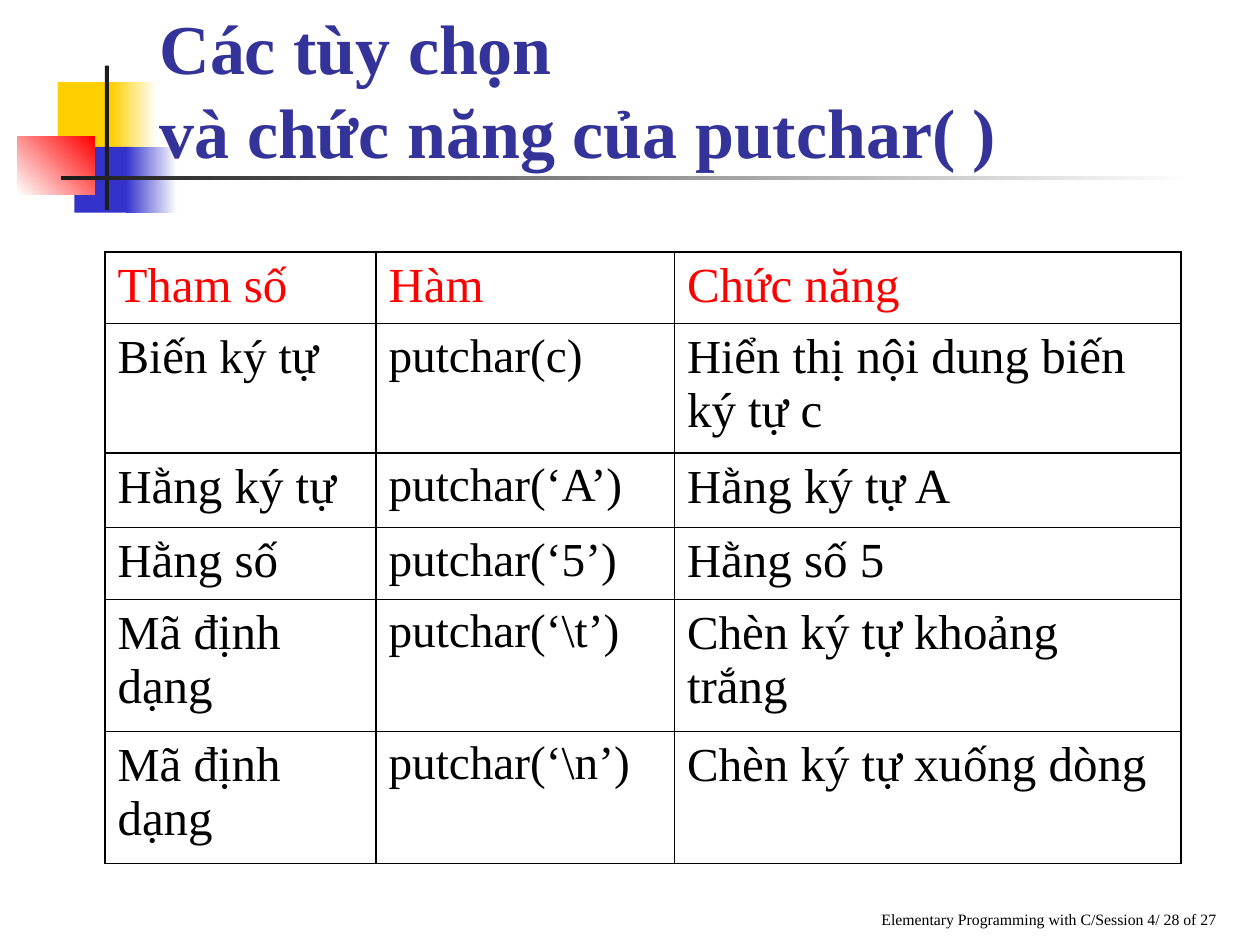
from lxml.etree import SubElement
from pptx import Presentation
from pptx.dml.color import RGBColor
from pptx.enum.shapes import MSO_SHAPE as Shape
from pptx.enum.text import MSO_ANCHOR as Anchor, MSO_AUTO_SIZE as AutoSize, PP_ALIGN as Align
from pptx.oxml.ns import qn
from pptx.util import Pt

FONT = "Times New Roman"
COLORS = {"gold": "FFCF01", "blue": "3333CC", "red": "FF0000", "dark": "1C1C1C",
          "white": "FFFFFF", "title": "333399", "black": "000000"}
TITLE = "Các tùy chọn \vvà chức năng của putchar( )"
FOOTER = "Elementary Programming with C/Session 4/ 28 of 27"

# Each bar: left, top, width, height, colours, gradient angle
BARS = [
    (33, 47, 34.5, 37.5, ["gold"], 0),
    (63.5, 47, 26, 37.5, ["gold", "white"], 0),
    (42.5, 84, 33, 37.5, ["blue"], 0),
    (72, 84, 29, 37.5, ["blue", "white"], 0),
    (10, 78, 44, 33, ["white", "red"], 45),
    (60, 37.5, 2.2, 82.5, ["dark"], 0),
    (34.8, 100.6, 648, 2.2, ["dark", "white"], 0),
]

RUN_SIZES = (27, 28)
ROWS = [
    ("|Tham số", "|Hàm", "|Chức năng"),
    ("Bi|ế|n ký t|ự", "putchar(c)", "Hi|ển thị nội dung biến ký tự c"),
    ("H|ằng ký tự", "putchar(‘A’)", "H|ằng ký tự A"),
    ("H|ằng số", "putchar(‘5’)", "H|ằng số 5"),
    ("M|ã định dạng| ", r"putchar(‘\t’)", "Ch|èn ký tự khoảng trắng"),
    ("M|ã định dạng", r"putchar(‘\n’)", "Ch|èn ký tự xuống dòng"),
]
COLUMN_WIDTHS = [154.8, 170.6, 289.4]
ROW_HEIGHTS = [41, 74, 42.5, 41, 75.5, 75.5]
TABLE_LEFT, TABLE_TOP = 60, 144


def rgb(name):
    return RGBColor.from_string(COLORS[name])


def format_run(run, size, color, bold=False):
    run.font.name, run.font.size, run.font.bold = FONT, Pt(size), bold
    run.font.color.rgb = rgb(color)


def add_bar(slide, left, top, width, height, colors, angle):
    shape = slide.shapes.add_shape(Shape.RECTANGLE, Pt(left), Pt(top), Pt(width), Pt(height))
    shape.shadow.inherit = False
    shape.line.fill.background()
    if len(colors) == 1:
        shape.fill.solid()
        shape.fill.fore_color.rgb = rgb(colors[0])
    else:
        shape.fill.gradient()
        shape.fill.gradient_angle = angle
        for stop, color in zip(shape.fill.gradient_stops, colors):
            stop.color.rgb = rgb(color)


def format_title(title):
    title.left, title.top, title.width, title.height = Pt(84), Pt(6), Pt(570), Pt(96)
    frame = title.text_frame
    frame.text = TITLE
    frame.auto_size, frame.word_wrap = AutoSize.NONE, True
    frame.vertical_anchor = Anchor.BOTTOM
    paragraph = frame.paragraphs[0]
    paragraph.alignment = Align.LEFT
    for run in paragraph.runs:
        format_run(run, 40, "title", True)
    title.element.getparent().append(title.element)


def add_footer(slide):
    frame = slide.shapes.add_textbox(Pt(264), Pt(498), Pt(438), Pt(36)).text_frame
    frame.text = FOOTER
    frame.word_wrap = True
    frame.vertical_anchor = Anchor.BOTTOM
    frame.paragraphs[0].alignment = Align.RIGHT
    format_run(frame.paragraphs[0].runs[0], 9, "black")


def add_borders(cell):
    properties = cell._tc.get_or_add_tcPr()
    for index, side in enumerate(("lnL", "lnR", "lnT", "lnB")):
        line = SubElement(properties, qn(f"a:{side}"), w=str(Pt(1)))
        fill = SubElement(line, qn("a:solidFill"))
        SubElement(fill, qn("a:srgbClr"), val=COLORS["black"])
        properties.insert(index, line)


def fill_cell(cell, text, color):
    paragraph = cell.text_frame.paragraphs[0]
    for index, part in enumerate(text.split("|")):
        if part:
            run = paragraph.add_run()
            run.text = part
            format_run(run, RUN_SIZES[index % 2], color)
    cell.fill.background()
    add_borders(cell)


def add_function_table(slide):
    table = slide.shapes.add_table(len(ROWS), len(COLUMN_WIDTHS), Pt(TABLE_LEFT), Pt(TABLE_TOP),
                                   Pt(sum(COLUMN_WIDTHS)), Pt(sum(ROW_HEIGHTS))).table
    table.first_row = table.horz_banding = False
    for column, width in zip(table.columns, COLUMN_WIDTHS):
        column.width = Pt(width)
    for index, (row, height, texts) in enumerate(zip(table.rows, ROW_HEIGHTS, ROWS)):
        row.height = Pt(height)
        for cell, text in zip(row.cells, texts):
            fill_cell(cell, text, "black" if index else "red")


def main():
    """Build the slide on the options and functions of putchar()."""
    presentation = Presentation()
    presentation.slide_width, presentation.slide_height = Pt(720), Pt(540)
    slide = presentation.slides.add_slide(presentation.slide_layouts[5])
    for bar in BARS:
        add_bar(slide, *bar)
    add_footer(slide)
    format_title(slide.shapes.title)
    add_function_table(slide)
    presentation.save("out.pptx")


if __name__ == "__main__":
    main()
